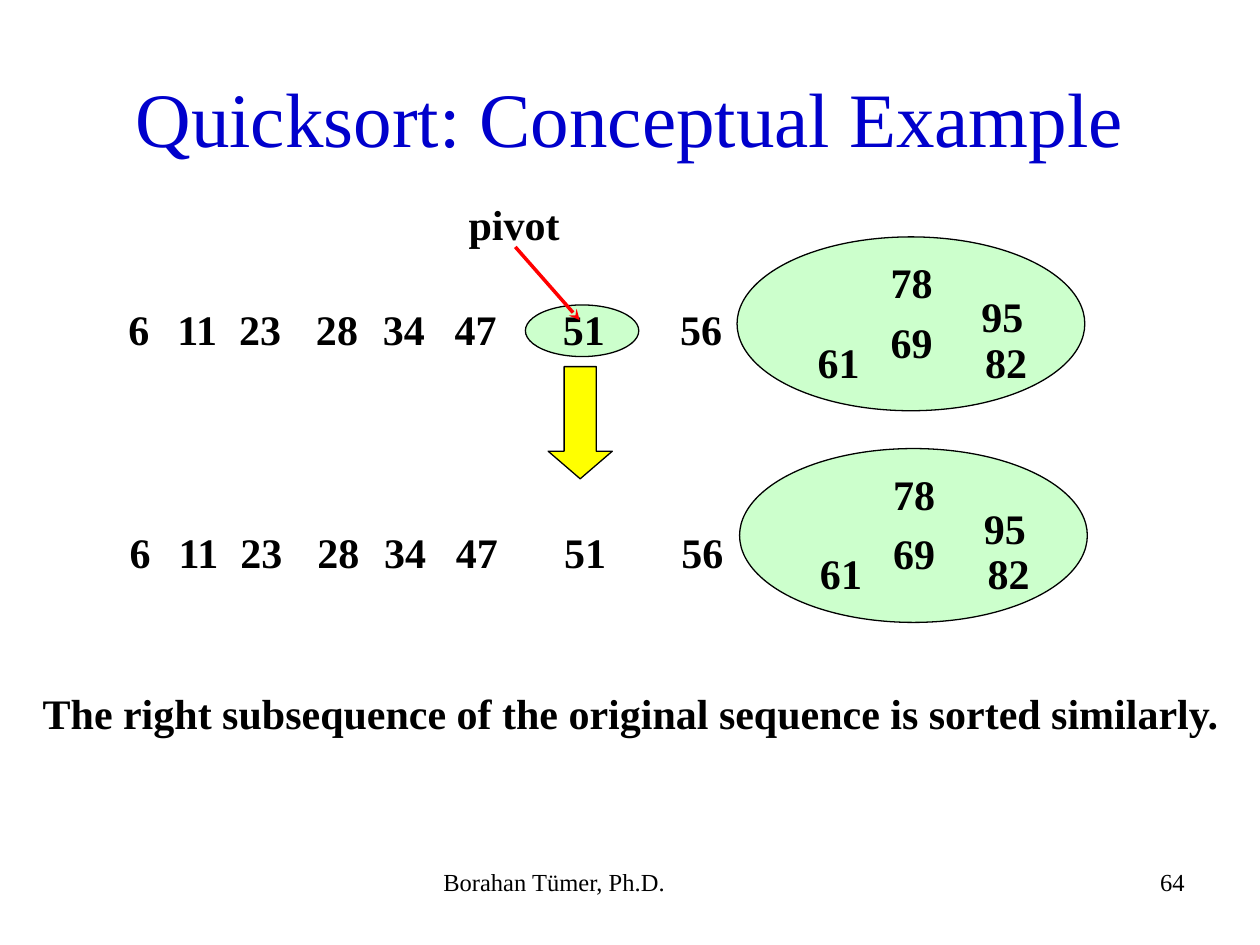
import pptx
import pptx.util
import pptx.dml.color
import pptx.enum.shapes
import pptx.enum.text
import pptx.oxml
import pptx.oxml.ns

Inches = pptx.util.Inches
Pt = pptx.util.Pt
RGB = pptx.dml.color.RGBColor
Shape = pptx.enum.shapes.MSO_SHAPE
Align = pptx.enum.text.PP_ALIGN
Anchor = pptx.enum.text.MSO_ANCHOR

BLUE = RGB(0x00, 0x00, 0xCC)
BLACK = RGB(0x00, 0x00, 0x00)
GREEN = RGB(0xCC, 0xFF, 0xCC)
YELLOW = RGB(0xFF, 0xFF, 0x00)
RED = RGB(0xFF, 0x00, 0x00)
FONT = "Times New Roman"

SORTED = [("6", 0), ("11", 0.39), ("23", 0.88), ("28", 1.49),
          ("34", 2.02), ("47", 2.59), ("51", 3.45)]
RIGHT = [("82", 1.87, 0.74), ("78", 1.12, 0.11), ("95", 1.84, 0.38),
         ("69", 1.12, 0.58), ("61", 0.54, 0.74)]


def write(frame, text, size=24, bold=True, color=BLACK, align=Align.LEFT,
          anchor=Anchor.TOP, wrap=False):
    frame.word_wrap = wrap
    frame.vertical_anchor = anchor
    par = frame.paragraphs[0]
    par.text = text
    par.alignment = align
    font = par.runs[0].font
    font.name, font.size, font.bold = FONT, Pt(size), bold
    font.color.rgb = color


def label(slide, text, left, top, width=0.53, height=0.5, **style):
    box = slide.shapes.add_textbox(
        Inches(left), Inches(top), Inches(width), Inches(height))
    write(box.text_frame, text, **style)


def solid(slide, kind, left, top, width, height, fill):
    shape = slide.shapes.add_shape(
        kind, Inches(left), Inches(top), Inches(width), Inches(height))
    shape.shadow.inherit = False
    shape.fill.solid()
    shape.fill.fore_color.rgb = fill
    shape.line.color.rgb = BLACK
    shape.line.width = Pt(0.75)
    return shape


def title(slide, left, top, width, height):
    head = slide.shapes.title
    head.left, head.top = Inches(left), Inches(top)
    head.width, head.height = Inches(width), Inches(height)
    write(head.text_frame, "Quicksort: Conceptual Example", size=44,
          bold=False, color=BLUE, align=Align.CENTER, anchor=Anchor.MIDDLE,
          wrap=True)


def subset(slide, left, top):
    solid(slide, Shape.OVAL, left, top, 2.76, 1.38, GREEN)
    for num, dx, dy in RIGHT:
        label(slide, num, left + dx, top + dy)


def row(slide, left, top):
    for num, dx in SORTED:
        label(slide, num, left + dx, top, width=0.53 if len(num) > 1 else 0.36)
    label(slide, "56", left + 4.38, top)


def pivot(slide, left, top):
    label(slide, "pivot", left, top, width=0.92)
    line = slide.shapes.add_connector(
        pptx.enum.shapes.MSO_CONNECTOR.STRAIGHT,
        Inches(left + 0.47), Inches(top + 0.43),
        Inches(left + 0.98), Inches(top + 1.01))
    line.line.color.rgb = RED
    line.line.width = Pt(2)
    tail = pptx.oxml.parse_xml(
        "<a:tailEnd %s type='stealth'/>" % pptx.oxml.ns.nsdecls("a"))
    line.line._get_or_add_ln().append(tail)
    flat = pptx.oxml.parse_xml(
        "<a:effectLst %s/>" % pptx.oxml.ns.nsdecls("a"))
    line._element.spPr.append(flat)


def footer(slide, top, height):
    style = dict(height=height, size=14, bold=False, wrap=True)
    label(slide, "Borahan Tümer, Ph.D.", 3.42, top, width=3.17, **style)
    label(slide, "64", 7.17, top, width=2.33, align=Align.RIGHT, **style)


def main():
    deck = pptx.Presentation()
    deck.slide_width, deck.slide_height = Inches(10), Inches(7.5)
    slide = deck.slides.add_slide(deck.slide_layouts[5])
    title(slide, 0.5, 0.3, 9, 1.25)
    subset(slide, 5.85, 1.88)
    solid(slide, Shape.OVAL, 4.17, 2.42, 0.9, 0.41, GREEN)
    row(slide, 0.92, 2.36)
    arrow = solid(slide, Shape.DOWN_ARROW, 4.35, 2.91, 0.51, 0.89, YELLOW)
    arrow.adjustments[1] = 0.43
    pivot(slide, 3.62, 1.53)
    subset(slide, 5.87, 3.56)
    row(slide, 0.93, 4.13)
    label(slide, "The right subsequence of the original sequence "
          "is sorted similarly.", 0.24, 5.41, width=9.55)
    footer(slide, 6.83, 0.52)
    deck.save("out.pptx")


if __name__ == "__main__":
    main()
